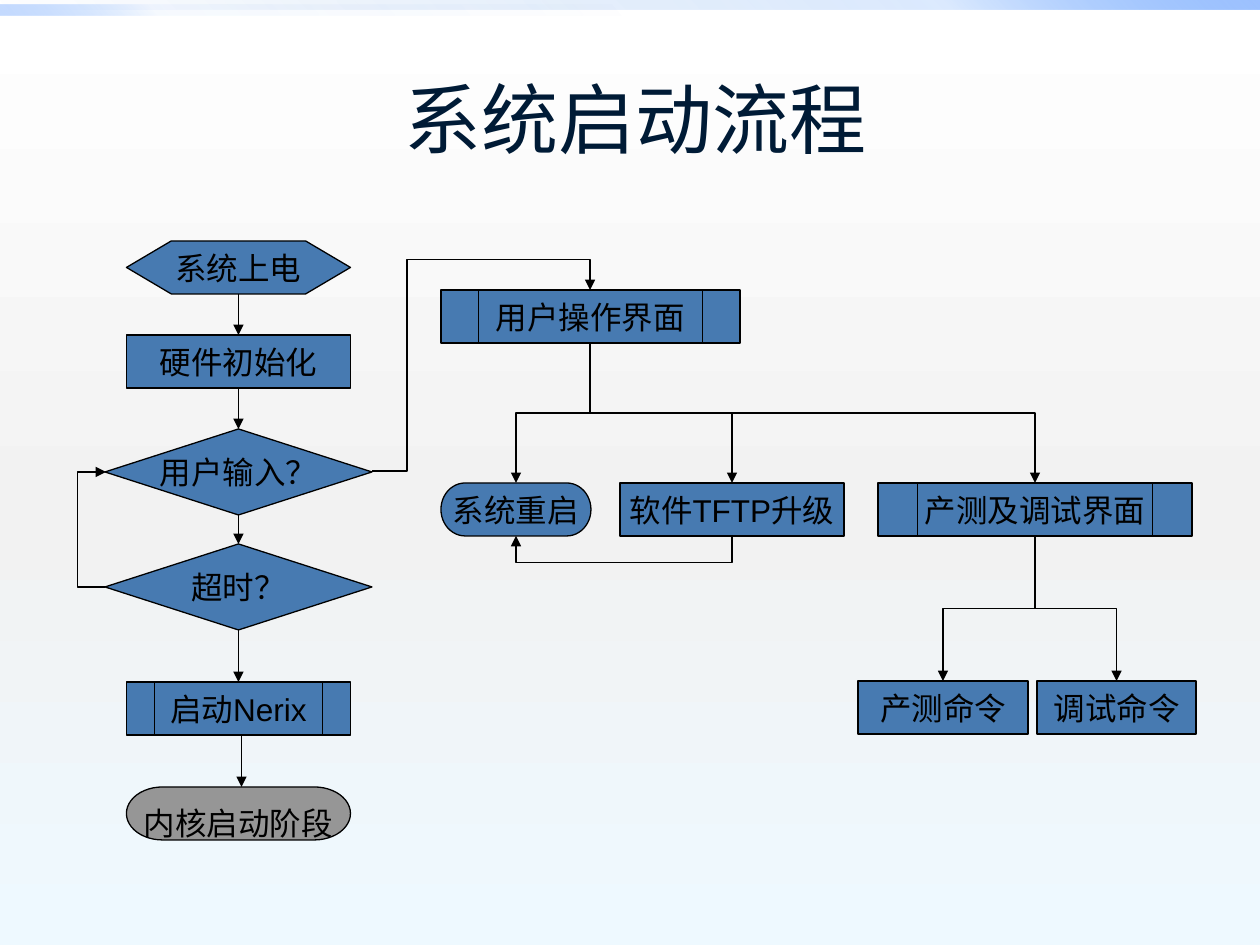
from itertools import pairwise
from lxml.etree import SubElement
from pptx import Presentation
from pptx.dml.color import RGBColor
from pptx.enum.lang import MSO_LANGUAGE_ID
from pptx.enum.shapes import MSO_CONNECTOR, MSO_SHAPE
from pptx.enum.text import MSO_ANCHOR, PP_ALIGN
from pptx.oxml.ns import qn
from pptx.util import Emu, Pt

SCALE = 914400 / 126
BLUE, GRAY, BLACK, NAVY = "477AB1", "969696", "000000", "001B36"
HAN = "Noto Sans CJK SC"
BOX = MSO_SHAPE.FLOWCHART_PROCESS
CALL = MSO_SHAPE.FLOWCHART_PREDEFINED_PROCESS
TEST = MSO_SHAPE.FLOWCHART_DECISION
PILL = MSO_SHAPE.FLOWCHART_TERMINATOR
START = MSO_SHAPE.FLOWCHART_PREPARATION
TALL = 53


def px(*nums):
    return [Emu(round(num * SCALE)) for num in nums]


def tint(code):
    return RGBColor.from_string(code)


def blend(fill, root, stops, angle):
    fill.gradient()
    grad = root.find(".//" + qn("a:gradFill"))
    for part in list(grad):
        grad.remove(part)
    group = SubElement(grad, qn("a:gsLst"))
    for place, code, alpha in stops:
        stop = SubElement(group, qn("a:gs"), pos=str(place * 1000))
        color = SubElement(stop, qn("a:srgbClr"), val=code)
        SubElement(color, qn("a:alpha"), val=str(alpha * 1000))
    SubElement(grad, qn("a:lin"), ang=str(angle * 60000), scaled="0")


def write(frame, text, size, font, code):
    frame.vertical_anchor = MSO_ANCHOR.MIDDLE
    para = frame.paragraphs[0]
    para.alignment = PP_ALIGN.CENTER
    run = para.add_run()
    run.text = text
    run.font.size = Pt(size)
    run.font.name = font
    run.font.color.rgb = tint(code)
    run.font.language_id = MSO_LANGUAGE_ID.SIMPLIFIED_CHINESE
    SubElement(run.font._element, qn("a:ea"), typeface=HAN)


def node(page, kind, text, box, code=BLUE, font="Arial"):
    shape = page.shapes.add_shape(kind, *px(*box))
    shape.shadow.inherit = False
    shape.fill.solid()
    shape.fill.fore_color.rgb = tint(code)
    shape.line.color.rgb = tint(BLACK)
    shape.line.width = Pt(0.75)
    shape.text_frame.word_wrap = False
    write(shape.text_frame, text, 18, font, BLACK)
    return shape


def arrow(page, kind, start, end):
    line = page.shapes.add_connector(kind, *px(*start, *end))
    line.line.color.rgb = tint(BLACK)
    line.line.width = Pt(0.75)
    SubElement(line.line._ln, qn("a:tailEnd"), type="triangle")
    SubElement(line._element.spPr, qn("a:effectLst"))
    return line


def elbow(page, start, end, **bends):
    line = arrow(page, MSO_CONNECTOR.ELBOW, start, end)
    geom = line._element.spPr.find(qn("a:prstGeom"))
    if len(bends) > 1:
        geom.set("prst", "bentConnector4")
    for name, ratio in bends.items():
        value = f"val {round(ratio * 100000)}"
        SubElement(geom.find(qn("a:avLst")), qn("a:gd"), name=name, fmla=value)
    return line


def drop(page, start, end, **bends):
    (left, top), (right, low) = start, end
    side = 1 if right > left else -1
    mid_x, mid_y = (left + right) / 2, (top + low) / 2
    half_x, half_y = abs(right - left) / 2, (low - top) / 2
    line = elbow(page, (mid_x + side * half_y, mid_y - half_x),
                 (mid_x - side * half_y, mid_y + half_x), **bends)
    line._element.spPr.xfrm.set("rot", str((270 if side > 0 else 90) * 60000))


def header(page, box):
    left, top, wide, tall = box
    blend(page.background.fill, page._element,
          [(0, "FFFFFF", 100), (55, "F2F2F2", 100), (100, "EEF9FF", 100)], 90)
    bands = [((left, top, wide, 10), 315, 20, 100),
             ((left, top + 5, wide / 2, 10), 135, 5, 60)]
    for band, angle, soft, full in bands:
        shape = page.shapes.add_shape(MSO_SHAPE.RECTANGLE, *px(*band))
        shape.shadow.inherit = False
        shape.line.fill.background()
        blend(shape.fill, shape._element.spPr,
              [(0, "0058B7", 0), (75, "4F95FF", soft), (100, "9EC2FF", full)], angle)
    title = page.shapes.title
    title.left, title.top, title.width, title.height = px(left + 69, top + 39, 1134, tall - 39)
    write(title.text_frame, "系统启动流程", 44, "Calibri", NAVY)


def boot(page, box):
    left, top, wide, tall = box
    mid = left + wide / 2
    steps = [
        (START, "系统上电", 0, 224, TALL),
        (BOX, "硬件初始化", 94, 224, TALL),
        (TEST, "用户输入？", 188, 267, 86),
        (TEST, "超时？", 303, 267, 86),
        (CALL, "启动Nerix", 441, 224, TALL),
    ]
    nodes = [node(page, kind, text, (mid - span / 2, top + down, span, high))
             for kind, text, down, span, high in steps]
    for above, below in pairwise(nodes):
        line = arrow(page, MSO_CONNECTOR.STRAIGHT, (mid, top), (mid, top + 1))
        line.begin_connect(above, 2)
        line.end_connect(below, 0)
    last = node(page, PILL, "内核启动阶段", (mid - 112, top + tall - TALL, 224, TALL), GRAY, HAN)
    last.text_frame.paragraphs[0].line_spacing = 1.5
    arrow(page, MSO_CONNECTOR.STRAIGHT, (mid + 3, top + 494), (mid + 3, top + 546))
    elbow(page, (left, top + 346), (left + 1, top + 231), adj1=-28)


def menu(page, box):
    left, top, wide, tall = box
    mid, row, low = left + 149, top + 193, top + tall - TALL
    node(page, CALL, "用户操作界面", (left, top, 299, TALL))
    items = [
        (PILL, "系统重启", 0, row, 150),
        (BOX, "软件TFTP升级", 179, row, 224),
        (CALL, "产测及调试界面", 437, row, 314),
        (BOX, "产测命令", 417, low, 170),
        (BOX, "调试命令", 596, low, 159),
    ]
    heads = []
    for kind, text, over, down, span in items:
        node(page, kind, text, (left + over, down, span, TALL))
        heads.append(left + over + span / 2)
    reset, load, debug, *leaves = heads
    for head in (reset, load, debug):
        drop(page, (mid, top + TALL), (head, row))
    for head in leaves:
        drop(page, (debug, row + TALL), (head, low))
    drop(page, (load, row + TALL - 1), (reset, row + TALL), adj1=28)
    elbow(page, (left - 69, top + 181), (mid, top), adj1=0.16, adj2=1.17)


def main():
    deck = Presentation()
    deck.slide_width, deck.slide_height = px(1260, 945)
    page = deck.slides.add_slide(deck.slide_layouts[5])
    header(page, (0, 0, 1260, 196))
    boot(page, (105, 241, 267, 599))
    menu(page, (441, 290, 755, 444))
    deck.save("out.pptx")


if __name__ == "__main__":
    main()
